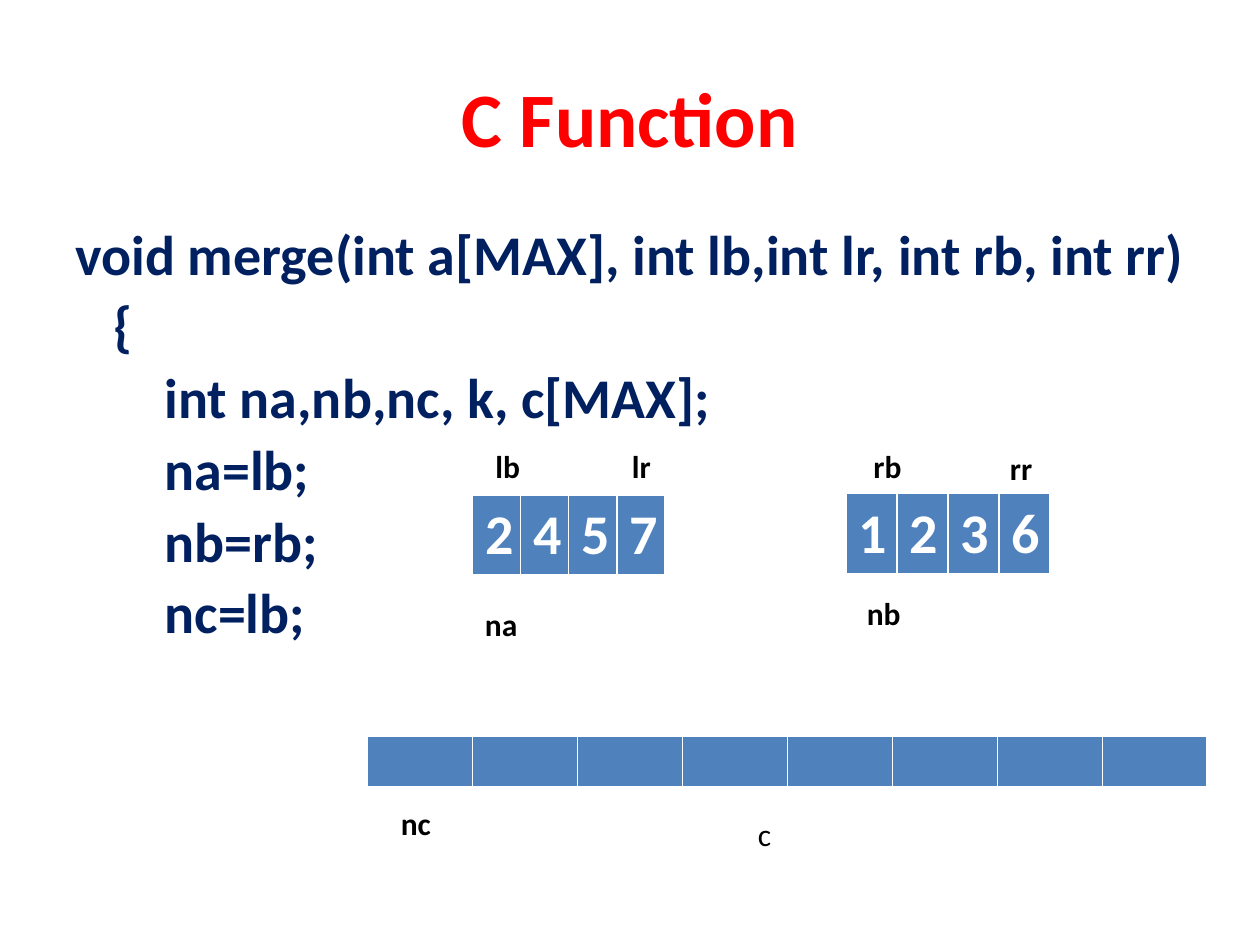
"""Build the slide on the C merge function with its three arrays."""
from pptx import Presentation
from pptx.dml.color import RGBColor
from pptx.enum.text import MSO_ANCHOR, MSO_AUTO_SIZE, PP_ALIGN
from pptx.util import Pt

CENTER = PP_ALIGN.CENTER
MIDDLE = MSO_ANCHOR.MIDDLE
GROW = MSO_AUTO_SIZE.SHAPE_TO_FIT_TEXT
FONT = "Calibri"
RED, NAVY, BLUE = "FF0000", "002060", "4F81BD"
WHITE, BLACK = "FFFFFF", "000000"

TITLE = "C Function"
CODE = [
    (0, "void merge(int a[MAX], int lb,int lr, int rb, int rr)"),
    (21.7, "{"),
    (51, "int na,nb,nc, k, c[MAX];"),
    (51, "na=lb;"),
    (51, "nb=rb;"),
    (51, "nc=lb;"),
]
ARRAYS = [
    (["2", "4", "5", "7"], 270, 283, 110, 45),
    (["1", "2", "3", "6"], 483.4, 282, 116.6, 45),
    ([""] * 8, 210, 420.5, 480, 29),
]
LABELS = [
    ("lb", 276, 252, 30, True),
    ("lr", 354, 252, 27, True),
    ("rb", 492, 252, 32, True),
    ("rr", 570, 253, 29, True),
    ("na", 270, 342, 35, True),
    ("nb", 488.2, 336, 35, True),
    ("nc", 222, 456, 33, True),
    ("c", 426, 462, 24, False),
]


def color(code):
    return RGBColor.from_string(code)


def style(para, size, code, bold=True):
    for run in para.runs:
        font = run.font
        font.name, font.size, font.bold = FONT, Pt(size), bold
        font.color.rgb = color(code)


def add_title(slide):
    title = slide.shapes.title
    title.left, title.top, title.width, title.height = map(
        Pt, (36, 21.6, 648, 90))
    frame = title.text_frame
    frame.text = TITLE
    frame.vertical_anchor = MIDDLE
    para = frame.paragraphs[0]
    para.alignment = CENTER
    style(para, 44, RED)


def add_code(slide):
    box = slide.shapes.add_textbox(Pt(36), Pt(126), Pt(666), Pt(356.4))
    frame = box.text_frame
    frame.word_wrap = True
    frame.text = "\n".join(text for _, text in CODE)
    for para, (indent, _) in zip(frame.paragraphs, CODE):
        para.line_spacing = 0.9
        para.space_before = Pt(6.4)
        para._p.get_or_add_pPr().set("marL", str(Pt(indent)))
        style(para, 32, NAVY)


def add_array(slide, items, left, top, width, height):
    count = len(items)
    table = slide.shapes.add_table(
        1, count, Pt(left), Pt(top), Pt(width), Pt(height)).table
    for col, cell, item in zip(table.columns, table.iter_cells(), items):
        col.width = Pt(width / count)
        cell.fill.solid()
        cell.fill.fore_color.rgb = color(BLUE)
        if item:
            cell.text = item
            style(cell.text_frame.paragraphs[0], 32, WHITE)


def add_label(slide, text, left, top, width, bold):
    box = slide.shapes.add_textbox(Pt(left), Pt(top), Pt(width), Pt(29))
    frame = box.text_frame
    frame.word_wrap = False
    frame.auto_size = GROW
    frame.text = text
    style(frame.paragraphs[0], 18, BLACK, bold)


def main():
    deck = Presentation()
    deck.slide_width, deck.slide_height = Pt(720), Pt(540)
    slide = deck.slides.add_slide(deck.slide_layouts[5])
    add_title(slide)
    add_code(slide)
    for array in ARRAYS:
        add_array(slide, *array)
    for label in LABELS:
        add_label(slide, *label)
    deck.save("out.pptx")


if __name__ == "__main__":
    main()
